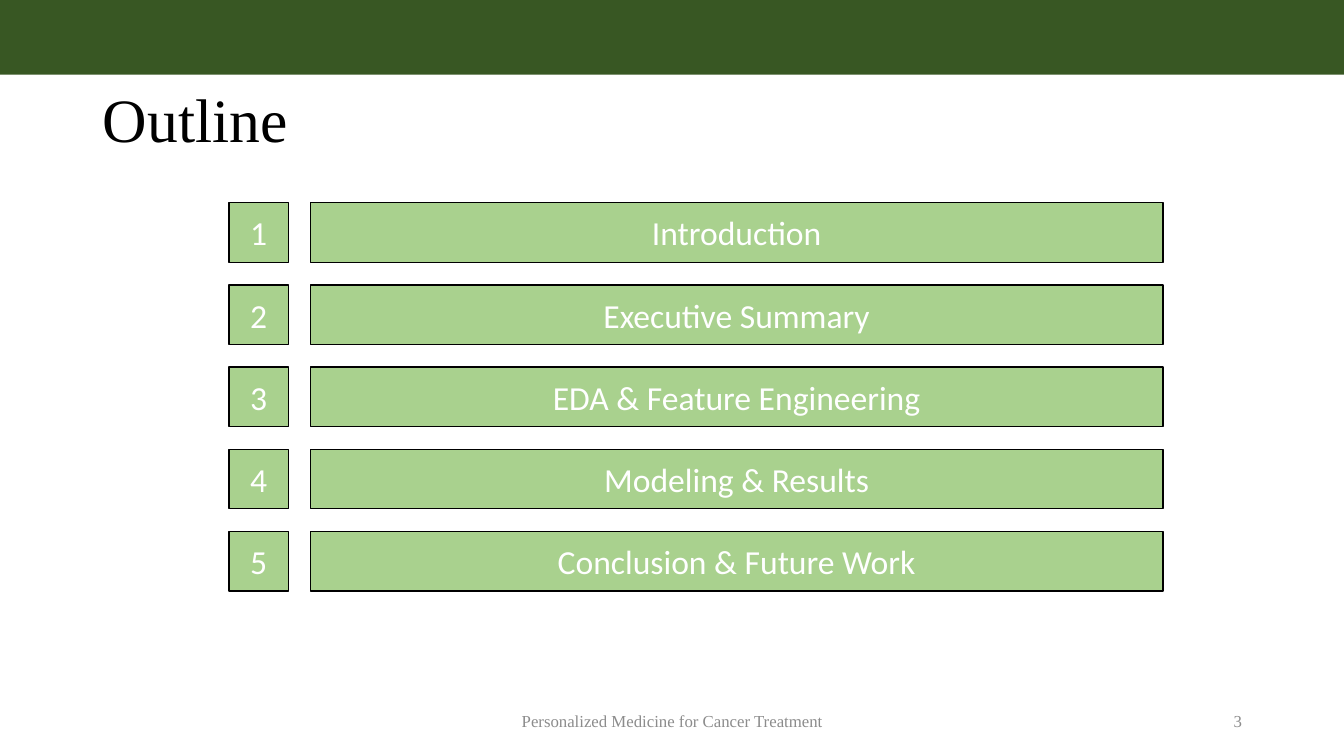
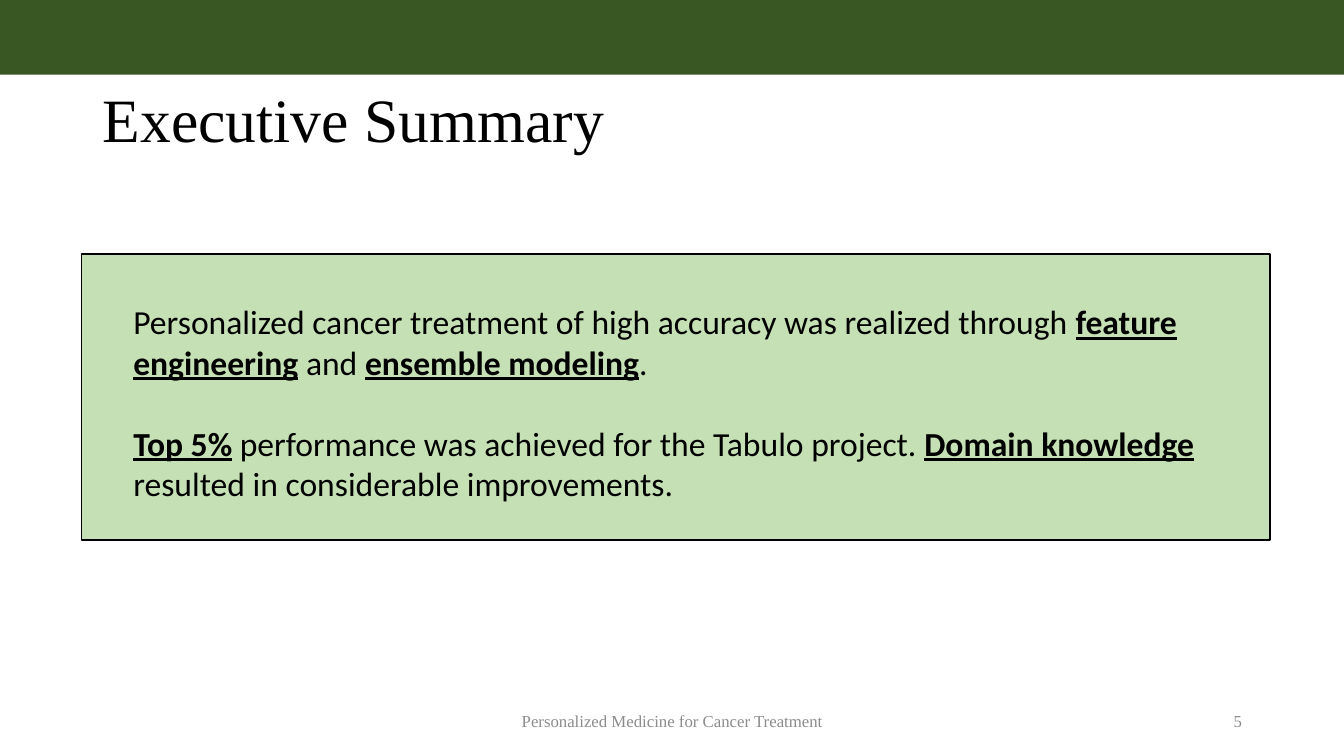
"""Build the outline and executive summary slides of a cancer treatment talk."""
import lxml.etree
import pptx
import pptx.dml.color
import pptx.enum.shapes
import pptx.enum.text
import pptx.oxml.ns
import pptx.util

Cm = pptx.util.Cm
RGBColor = pptx.dml.color.RGBColor
Align = pptx.enum.text.PP_ALIGN
Anchor = pptx.enum.text.MSO_ANCHOR

DARK_GREEN = RGBColor(0x38, 0x57, 0x23)
MID_GREEN = RGBColor(0xA9, 0xD1, 0x8E)
PALE_GREEN = RGBColor(0xC5, 0xE0, 0xB4)
GREY = RGBColor(0x8C, 0x8C, 0x8C)
BLACK = RGBColor(0, 0, 0)
WHITE = RGBColor(0xFF, 0xFF, 0xFF)
SERIF = "Times New Roman"
SANS = "Calibri"

SLIDE_WIDTH, SLIDE_HEIGHT = Cm(33.87), Cm(19.05)
TITLE_ONLY, TITLE_AND_CONTENT = 5, 1
FOOTER = "Personalized Medicine for Cancer Treatment"
TOPICS = [
    "Introduction",
    "Executive Summary",
    "EDA & Feature Engineering",
    "Modeling & Results",
    "Conclusion & Future Work",
]
SUMMARY = [
    [
        ("Personalized cancer treatment of high accuracy was realized through ", False),
        ("feature engineering", True),
        (" and ", False),
        ("ensemble modeling", True),
        (".", False),
    ],
    [
        ("Top 5%", True),
        (" performance was achieved for the Tabulo project. ", False),
        ("Domain knowledge", True),
        (" resulted in considerable improvements.", False),
    ],
]

ROW_LEFT, ROW_TOP, ROW_PITCH = 5.77, 5.11, 2.07
ROW_HEIGHT, TOPIC_LEFT, TOPIC_WIDTH = 1.5, 7.82, 21.49


def write_text(frame, text, font=SANS, size=24, color=BLACK, align=Align.LEFT,
               anchor=Anchor.MIDDLE, line_spacing=1.0, gap=0):
    """Write a string, or paragraphs of (text, emphasised) runs."""
    paragraphs = [[(text, False)]] if isinstance(text, str) else text
    frame.word_wrap = True
    frame.auto_size = pptx.enum.text.MSO_AUTO_SIZE.NONE
    frame.vertical_anchor = anchor
    for index, runs in enumerate(paragraphs):
        paragraph = frame.add_paragraph() if index else frame.paragraphs[0]
        paragraph.alignment = align
        paragraph.line_spacing = line_spacing
        paragraph.space_before = pptx.util.Pt(gap if index else 0)
        for words, emphasised in runs:
            run = paragraph.add_run()
            run.text = words
            run.font.name = font
            run.font.size = pptx.util.Pt(size)
            run.font.color.rgb = color
            run.font.bold = emphasised
            run.font.underline = emphasised


def place(shape, left, top, width, height):
    """Move and size a shape, in centimetres."""
    shape.left, shape.top = Cm(left), Cm(top)
    shape.width, shape.height = Cm(width), Cm(height)


def paint(shape, fill):
    """Fill a shape and give it a thin black outline."""
    shape.fill.solid()
    shape.fill.fore_color.rgb = fill
    shape.line.color.rgb = BLACK
    shape.line.width = pptx.util.Pt(1)


def add_rectangle(slide, left, top, width, height):
    """Add a rectangle without shadow."""
    shape = slide.shapes.add_shape(
        pptx.enum.shapes.MSO_SHAPE.RECTANGLE, Cm(left), Cm(top), Cm(width), Cm(height))
    shape.shadow.inherit = False
    return shape


def add_slide(presentation, layout, title, number):
    """Add a slide with the shared title, band and footer."""
    slide = presentation.slides.add_slide(presentation.slide_layouts[layout])
    place(slide.shapes.title, 2.34, 1.93, 29.21, 2.34)
    write_text(slide.shapes.title.text_frame, title, font=SERIF, size=44, line_spacing=0.9)
    band = add_rectangle(slide, 0, 0, 33.87, 1.88)
    band.fill.solid()
    band.fill.fore_color.rgb = DARK_GREEN
    band.line.fill.background()
    footers = [(FOOTER, 11.23, 11.43, Align.CENTER), (str(number), 23.93, 7.62, Align.RIGHT)]
    for text, left, width, align in footers:
        box = slide.shapes.add_textbox(Cm(left), Cm(17.65), Cm(width), Cm(1.02))
        write_text(box.text_frame, text, font=SERIF, size=12, color=GREY, align=align)
    return slide


def add_outline(presentation):
    """Add the numbered list of topics."""
    slide = add_slide(presentation, TITLE_ONLY, "Outline", 3)
    for index, topic in enumerate(TOPICS):
        top = ROW_TOP + index * ROW_PITCH
        cells = [(str(index + 1), ROW_LEFT, ROW_HEIGHT), (topic, TOPIC_LEFT, TOPIC_WIDTH)]
        for text, left, width in cells:
            cell = add_rectangle(slide, left, top, width, ROW_HEIGHT)
            paint(cell, MID_GREEN)
            write_text(cell.text_frame, text, color=WHITE, align=Align.CENTER)


def add_summary(presentation):
    """Add the summary panel."""
    slide = add_slide(presentation, TITLE_AND_CONTENT, "Executive Summary", 5)
    panel = slide.placeholders[1]
    place(panel, 2.06, 6.4, 29.95, 7.21)
    paint(panel, PALE_GREEN)
    frame = panel.text_frame
    frame.margin_left, frame.margin_top, frame.margin_right = Cm(1.3), Cm(1.19), Cm(0.46)
    write_text(frame, SUMMARY, anchor=Anchor.TOP, gap=29.3)
    for paragraph in frame.paragraphs:
        properties = paragraph._p.get_or_add_pPr()
        properties.set("marL", "0")
        properties.set("indent", "0")
        lxml.etree.SubElement(properties, pptx.oxml.ns.qn("a:buNone"))


def main():
    """Build and save the presentation."""
    presentation = pptx.Presentation()
    presentation.slide_width, presentation.slide_height = SLIDE_WIDTH, SLIDE_HEIGHT
    add_outline(presentation)
    add_summary(presentation)
    presentation.save("out.pptx")


if __name__ == "__main__":
    main()
